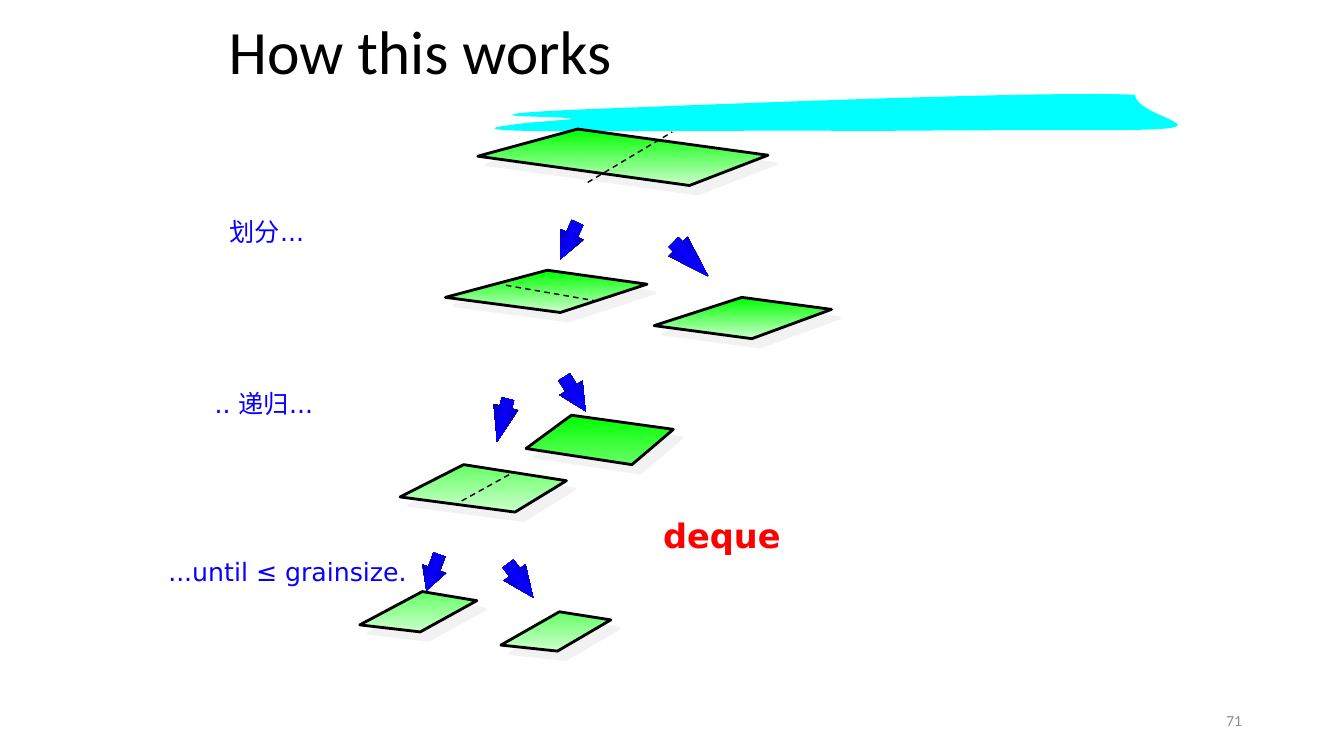
import copy

import pptx
import pptx.dml.color
import pptx.enum.dml
import pptx.enum.shapes
import pptx.enum.text
import pptx.oxml
import pptx.oxml.ns
import pptx.util

Pt = pptx.util.Pt
qn = pptx.oxml.ns.qn
ALIGN = pptx.enum.text.PP_ALIGN
ANCHOR = pptx.enum.text.MSO_ANCHOR

COLORS = {
    "black": "000000", "cyan": "00FFFF", "red": "FF0000", "blue": "0800FF",
    "navy": "040076", "green": "00FF00", "mid": "66FF66", "pale": "CCFFCC",
    "shade": "E7E6E6", "gray": "8C8C8C",
}

# Start point, then two control points and an end point for each curve
START = (379.4, 93.6)
CURVES = [
    ((340.6, 92.9), (353.5, 90.7), (365, 89.3)),
    ((377.3, 87.1), (407.5, 85.7), (408.2, 85)),
    ((409, 83.5), (364.3, 83.5), (365.8, 82.1)),
    ((367.9, 81.4), (365, 79.9), (446.4, 77)),
    ((520.6, 74.2), (751, 64.8), (810.7, 67.7)),
    ((811.4, 84.2), (883.4, 92.2), (804.2, 92.9)),
    ((782.6, 92.9), (692.6, 92.9), (621.4, 93.6)),
    ((542.2, 92.9), (418.3, 94.3), START),
]

# Corners, top colour, bottom colour
SHEETS = [
    ([(341.3, 111.6), (492.5, 132.5), (548.6, 110.9), (412.6, 92.2)], "green", "pale"),
    ([(391, 193), (462.2, 203), (400.3, 223.2), (318.2, 212.4)], "green", "pale"),
    ([(529.9, 212.4), (594, 221), (537.1, 241.9), (467.3, 232.6)], "green", "pale"),
    ([(331.2, 331.9), (404.6, 343.4), (367.9, 365.8), (285.8, 355)], "mid", "pale"),
    ([(408.2, 296.6), (481, 306.7), (451.4, 331.9), (375.8, 320.4)], "green", "mid"),
    ([(301.7, 422.6), (340.6, 429.1), (300.2, 451.4), (257, 446.4)], "mid", "pale"),
    ([(399.6, 437), (436.3, 442.8), (398.2, 465.1), (357.8, 460.8)], "mid", "pale"),
]

# Left, top, width, height, turn, head length
ARROWS = [
    (397.4, 157.7, 18, 28.8, 25.2, 1.08),
    (483.8, 167.8, 19.4, 34.6, 314.6, 1.55),
    (349.9, 284.4, 18, 31.7, 14.2, 1.42),
    (401, 267.1, 19.4, 28.8, 328, 1.01),
    (300.2, 395.3, 18, 27.4, 19.8, 0.92),
    (362.2, 399.6, 19.4, 30.2, 323.5, 1.15),
]

CUTS = [
    (419.8, 130.3, 480.2, 94.3),
    (361.4, 203.8, 427.7, 215.3),
    (329.8, 357.8, 363.6, 339.1),
]

# Text, left, top, side inset
LABELS = [
    ("划分...", 157, 151.2, 7.2),
    (".. 递归...", 146.2, 273.6, 7.2),
    ("...until ≤ grainsize.", 120.2, 393.8, 0),
]


def rgb(name):
    return pptx.dml.color.RGBColor.from_string(COLORS[name])


def trace(start, curves, steps=16):
    """Return points along a chain of cubic curves."""
    points = []
    for a, b, end in curves:
        for step in range(1, steps + 1):
            t = step / steps
            u = 1 - t
            points.append(tuple(
                u ** 3 * p + 3 * u * u * t * q + 3 * u * t * t * r + t ** 3 * s
                for p, q, r, s in zip(start, a, b, end)))
        start = end
    return points


class Painter:
    """Holds the label style and the slide being drawn."""
    font = "DejaVu Sans"
    size = 18

    def __init__(self, slide):
        self.slide = slide
        self.shapes = slide.shapes

    def style(self, frame, text, size, color, font, bold=False):
        frame.text = text
        for run in frame.paragraphs[0].runs:
            run.font.name = font
            run.font.size = Pt(size)
            run.font.bold = bold
            run.font.color.rgb = rgb(color)

    def title(self, text, left, top, width, height):
        box = self.shapes.title
        box.left, box.top, box.width, box.height = map(Pt, (left, top, width, height))
        frame = box.text_frame
        self.style(frame, text, 44, "black", "Calibri")
        frame.vertical_anchor = ANCHOR.MIDDLE
        frame.paragraphs[0].alignment = ALIGN.LEFT
        frame.paragraphs[0].line_spacing = 0.9

    def text(self, text, left, top, width, height, color="blue", size=size,
             font=font, bold=False, inset=7.2, align=ALIGN.LEFT, anchor=ANCHOR.TOP):
        box = self.shapes.add_textbox(*map(Pt, (left, top, width, height)))
        frame = box.text_frame
        frame.word_wrap = True
        frame.margin_left = frame.margin_right = Pt(inset)
        frame.vertical_anchor = anchor
        self.style(frame, text, size, color, font, bold)
        frame.paragraphs[0].alignment = align

    def blend(self, shape, names, angle):
        """Fill with evenly spaced colour stops."""
        fill = shape.fill
        fill.gradient()
        fill.gradient_angle = angle
        stops = shape.element.spPr.find(".//" + qn("a:gsLst"))
        while len(stops) < len(names):
            stops.append(copy.deepcopy(stops[0]))
        for i, (stop, name) in enumerate(zip(fill.gradient_stops, names)):
            stop.color.rgb = rgb(name)
            stop.position = i / (len(names) - 1)

    def outline(self, points):
        first, *rest = [(Pt(x), Pt(y)) for x, y in points]
        pen = self.shapes.build_freeform(*first, scale=1.0)
        pen.add_line_segments(rest, close=True)
        shape = pen.convert_to_shape()
        shape.shadow.inherit = False
        return shape

    def stroke(self, points, color):
        shape = self.outline(points)
        shape.fill.solid()
        shape.fill.fore_color.rgb = rgb(color)
        shape.line.fill.background()

    def sheet(self, points, top, bottom):
        shape = self.outline(points)
        self.blend(shape, [top, bottom], 270)
        shape.line.color.rgb = rgb("black")
        shape.line.width = Pt(2)
        shape.element.spPr.find(qn("a:effectLst")).append(pptx.oxml.parse_xml(
            f'<a:outerShdw {pptx.oxml.ns.nsdecls("a")} blurRad="0" dist="{Pt(8.5)}" '
            'dir="2700000" algn="ctr" rotWithShape="0">'
            f'<a:srgbClr val="{COLORS["shade"]}"><a:alpha val="50000"/></a:srgbClr>'
            '</a:outerShdw>'))

    def arrow(self, left, top, width, height, turn, head):
        shape = self.shapes.add_shape(pptx.enum.shapes.MSO_SHAPE.DOWN_ARROW,
                                      *map(Pt, (left, top, width, height)))
        shape.shadow.inherit = False
        shape.rotation = turn
        shape.adjustments[0] = 0.5
        shape.adjustments[1] = head
        self.blend(shape, ["navy", "blue", "navy"], 0)
        shape.line.fill.background()

    def cut(self, *ends):
        line = self.shapes.add_connector(pptx.enum.shapes.MSO_CONNECTOR.STRAIGHT,
                                         *map(Pt, ends))
        line.line.color.rgb = rgb("black")
        line.line.width = Pt(1)
        line.line.dash_style = pptx.enum.dml.MSO_LINE.DASH
        line.element.spPr.append(pptx.oxml.parse_xml(
            f'<a:effectLst {pptx.oxml.ns.nsdecls("a")}/>'))


def main():
    deck = pptx.Presentation()
    deck.slide_width, deck.slide_height = Pt(960), Pt(540)
    art = Painter(deck.slides.add_slide(deck.slide_layouts[5]))

    art.stroke([START] + trace(START, CURVES), "cyan")
    art.text("deque", 466.6, 364.3, 283, 36, "red", 24, bold=True)
    art.title("How this works", 156.2, -5.8, 588.2, 90)
    for sheet in SHEETS:
        art.sheet(*sheet)
    for arrow in ARROWS:
        art.arrow(*arrow)
    for text, left, top, inset in LABELS:
        art.text(text, left, top, 174.2, 28.8, inset=inset)
    for ends in CUTS:
        art.cut(*ends)
    art.text("71", 678.2, 500.4, 216, 28.8, "gray", 11, "Calibri",
             align=ALIGN.RIGHT, anchor=ANCHOR.MIDDLE)
    deck.save("out.pptx")


if __name__ == "__main__":
    main()
